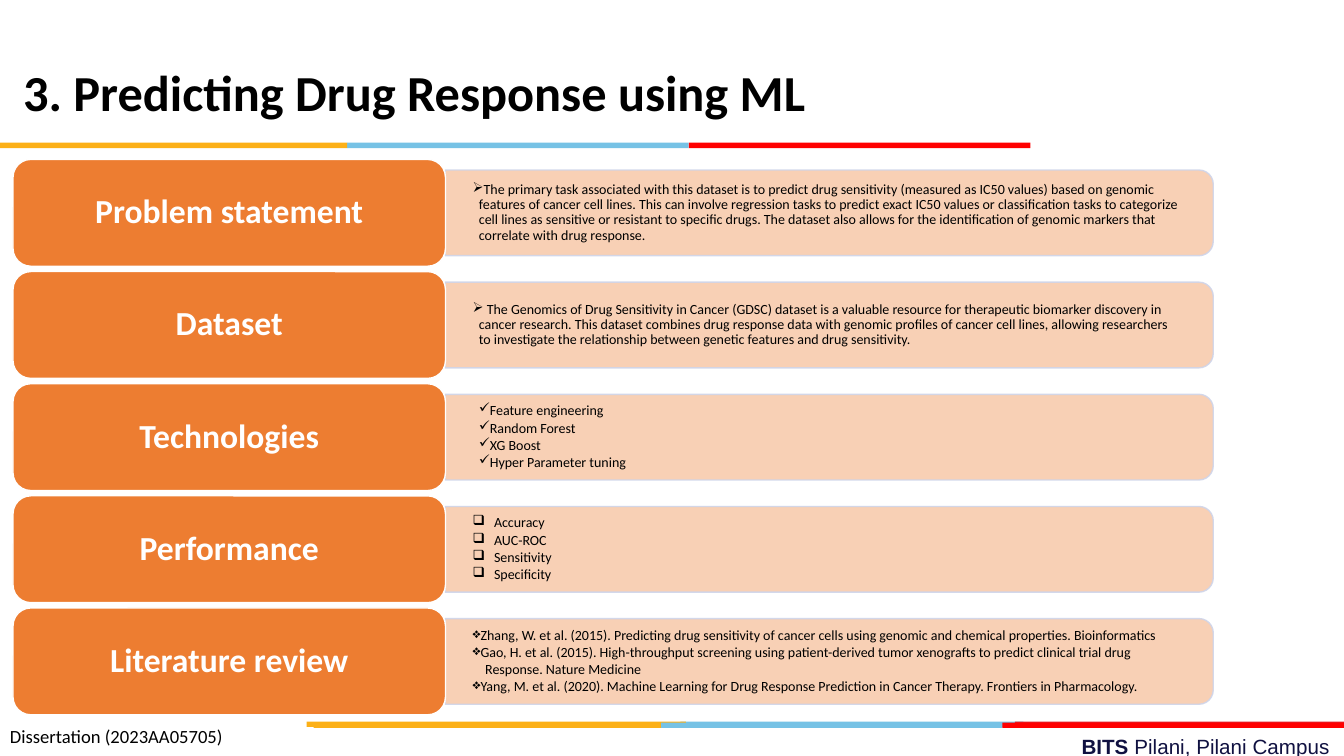
from lxml import etree
from pptx import Presentation
from pptx.dml.color import RGBColor
from pptx.enum.shapes import MSO_SHAPE
from pptx.enum.text import MSO_ANCHOR, PP_ALIGN
from pptx.oxml.ns import qn
from pptx.util import Pt

RECT = MSO_SHAPE.RECTANGLE
ROUND = MSO_SHAPE.ROUNDED_RECTANGLE
TAB = MSO_SHAPE.ROUND_2_SAME_RECTANGLE
MIDDLE = MSO_ANCHOR.MIDDLE
CENTER, RIGHT = PP_ALIGN.CENTER, PP_ALIGN.RIGHT

BLACK, WHITE, NAVY = "000000", "FFFFFF", "101141"
GOLD, SKY, RED, BRICK = "FCB017", "76C2E5", "FF0000", "E31C24"
ORANGE, PEACH, EDGE = "ED7D31", "F8CBAD", "CFD5EA"

ROW_TOP, ROW_STEP, ROW_H = 113.9, 80.1, 76.3
LABEL_X, LABEL_W = 9.3, 308.9
BAR_X, BAR_W, BAR_H = 318, 548.6, 61.2

# Each row: label, bullet, left margin, first-line indent, lines
ROWS = [
    ("Problem statement", "➢", 4.5, -4.5, [
        "The primary task associated with this dataset is to predict drug "
        "sensitivity (measured as IC50 values) based on genomic features of "
        "cancer cell lines. This can involve regression tasks to predict exact "
        "IC50 values or classification tasks to categorize cell lines as "
        "sensitive or resistant to specific drugs. The dataset also allows for "
        "the identification of genomic markers that correlate with drug "
        "response."]),
    ("Dataset", "➢", 4.5, -4.5, [
        " The Genomics of Drug Sensitivity in Cancer (GDSC) dataset is a "
        "valuable resource for therapeutic biomarker discovery in cancer "
        "research. This dataset combines drug response data with genomic "
        "profiles of cancer cell lines, allowing researchers to investigate "
        "the relationship between genetic features and drug sensitivity."]),
    ("Technologies", "✓", 9, -4.5, [
        "Feature engineering", "Random Forest", "XG Boost",
        "Hyper Parameter tuning"]),
    ("Performance", "❑", 15.3, -15.3, [
        "Accuracy", "AUC-ROC", "Sensitivity", "Specificity"]),
    ("Literature review", "❖", 4.5, -4.5, [
        "Zhang, W. et al. (2015). Predicting drug sensitivity of cancer cells "
        "using genomic and chemical properties. Bioinformatics",
        "Gao, H. et al. (2015). High-throughput screening using "
        "patient-derived tumor xenografts to predict clinical trial drug",
        "Response. Nature Medicine",
        "Yang, M. et al. (2020). Machine Learning for Drug Response "
        "Prediction in Cancer Therapy. Frontiers in Pharmacology."]),
]
CARRIED = "Response. Nature Medicine"


def color(code):
    """Turn a hex string into a colour."""
    return RGBColor.from_string(code)


def style(run, size, code, bold=False, face="Calibri"):
    """Format one run."""
    run.font.name, run.font.size, run.font.bold = face, Pt(size), bold
    run.font.color.rgb = color(code)


def fade(fill):
    """Make a solid fill 90 % opaque."""
    etree.SubElement(fill.find(qn("a:srgbClr")), qn("a:alpha"), val="90000")


def block(slide, kind, x, y, w, h, fill, edge=None):
    """Draw a filled preset shape."""
    shape = slide.shapes.add_shape(kind, Pt(x), Pt(y), Pt(w), Pt(h))
    shape.shadow.inherit = False
    shape.fill.solid()
    shape.fill.fore_color.rgb = color(fill)
    if edge:
        shape.line.color.rgb = color(edge)
        shape.line.width = Pt(1)
    else:
        shape.line.fill.background()
    return shape


def stripe(slide, y, parts):
    """Draw thin colour bars given as left, width and colour."""
    for x, width, fill in parts:
        block(slide, RECT, x, y, width, 3.8, fill)


def box(slide, x, y, w, h, wrap=True):
    """Add an empty text box and return its frame."""
    frame = slide.shapes.add_textbox(Pt(x), Pt(y), Pt(w), Pt(h)).text_frame
    frame.word_wrap = wrap
    return frame


def bullet(para, mark, margin, indent):
    """Set the margin, indent and bullet of a paragraph."""
    props = para._p.get_or_add_pPr()
    props.set("marL", str(Pt(margin)))
    props.set("indent", str(Pt(indent)))
    if mark:
        etree.SubElement(props, qn("a:buChar"), char=mark)
    else:
        etree.SubElement(props, qn("a:buNone"))


def label(slide, y, text):
    """Draw the orange label of a row."""
    shape = block(slide, ROUND, LABEL_X, y, LABEL_W, ROW_H, ORANGE, WHITE)
    frame = shape.text_frame
    frame.text = text
    frame.vertical_anchor = MIDDLE
    para = frame.paragraphs[0]
    para.alignment, para.line_spacing = CENTER, 0.9
    style(para.runs[0], 24, WHITE, True)


def panel(slide, mid):
    """Draw the pale bar of a row, turned so its round end faces right."""
    x = BAR_X + (BAR_W - BAR_H) / 2
    shape = block(slide, TAB, x, mid - BAR_W / 2, BAR_H, BAR_W, PEACH, EDGE)
    shape.rotation = 90
    props = shape._element.spPr
    fade(props.find(qn("a:solidFill")))
    fade(props.find(qn("a:ln")).find(qn("a:solidFill")))


def detail(slide, mid, mark, margin, indent, lines):
    """Write the bulleted lines of a row."""
    frame = box(slide, BAR_X, mid - 27.4, 545.8, 54.8)
    frame.vertical_anchor = MIDDLE
    frame.margin_left = frame.margin_right = Pt(19.6)
    frame.margin_top = frame.margin_bottom = Pt(0)
    for index, line in enumerate(lines):
        para = frame.add_paragraph() if index else frame.paragraphs[0]
        para.text = line
        para.line_spacing, para.space_after = 0.9, Pt(1.5)
        if line == CARRIED:
            bullet(para, None, 9, 0)
        else:
            bullet(para, mark, margin, indent)
        style(para.runs[0], 10, BLACK)


def footer(slide):
    """Write the campus name and the dissertation number."""
    frame = box(slide, 348.5, 519.1, 606.2, 27.4)
    frame.margin_left = frame.margin_right = Pt(5)
    frame.margin_top = frame.margin_bottom = Pt(5)
    para = frame.paragraphs[0]
    para.alignment = RIGHT
    for text, bold in (("BITS ", True), ("Pilani, Pilani Campus", False)):
        run = para.add_run()
        run.text = text
        style(run, 14.7, NAVY, bold, "Arial")
    frame = box(slide, 0, 510.5, 367, 26)
    frame.text = "Dissertation (2023AA05705)"
    para = frame.paragraphs[0]
    para.line_spacing = 1.25
    style(para.runs[0], 13.3, BLACK)


def main():
    """Build and save the slide."""
    deck = Presentation()
    deck.slide_width, deck.slide_height = Pt(960), Pt(540)
    slide = deck.slides.add_slide(deck.slide_layouts[6])
    stripe(slide, 515.5, [(486, 245, SKY), (725, 235, BRICK), (219, 271, GOLD)])
    stripe(slide, 516.2, [(472, 244, SKY), (224, 248, GOLD), (716, 244, RED)])
    stripe(slide, 102, [(248, 244, SKY), (0, 248, GOLD), (492, 244, RED)])
    footer(slide)
    title = box(slide, 9.4, 40.3, 580, 83.5, False)
    title.text = "3. Predicting Drug Response using ML"
    style(title.paragraphs[0].runs[0], 36, BLACK, True)
    for index, (name, mark, margin, indent, lines) in enumerate(ROWS):
        top = ROW_TOP + index * ROW_STEP
        mid = top + ROW_H / 2
        panel(slide, mid)
        detail(slide, mid, mark, margin, indent, lines)
        label(slide, top, name)
    deck.save("out.pptx")


if __name__ == "__main__":
    main()
